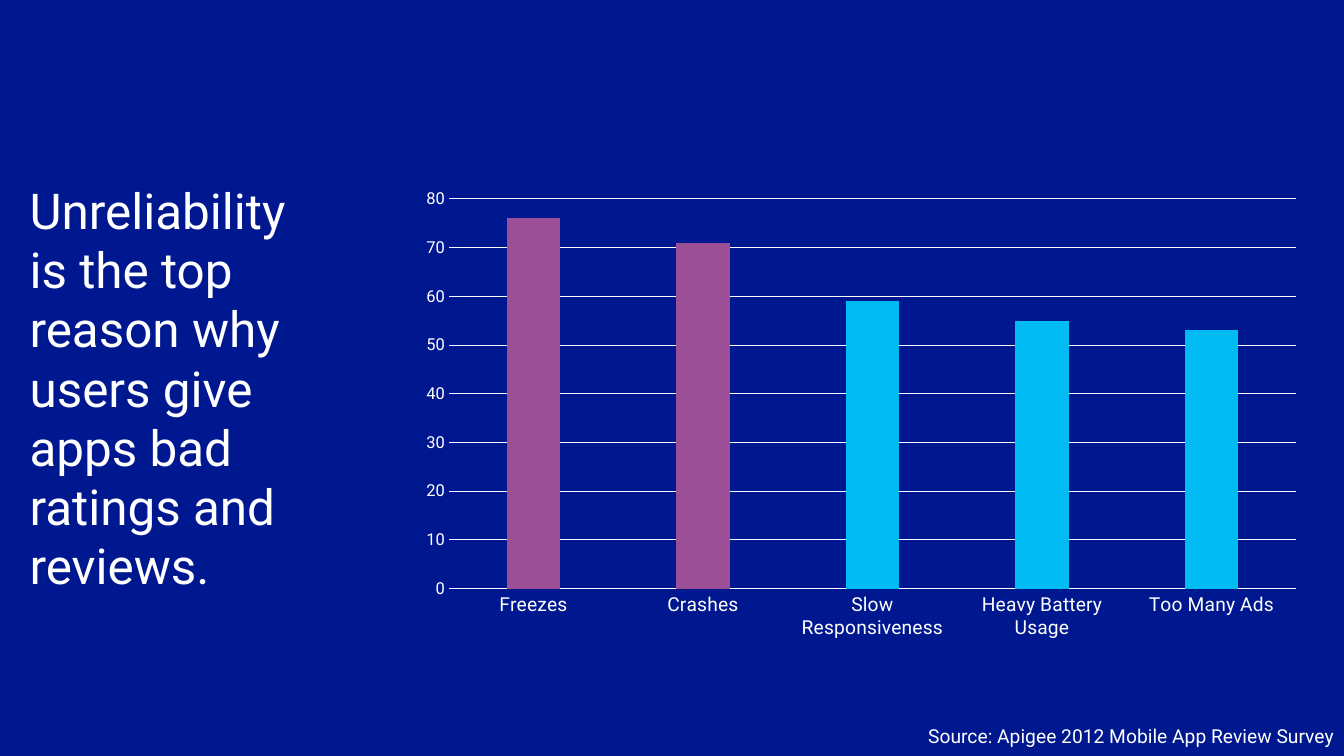
from lxml import etree
from pptx import Presentation
from pptx import util as u
from pptx.chart.data import CategoryChartData
from pptx.dml.color import RGBColor
from pptx.enum import chart as charts, text

WHITE, NAVY, PURPLE, CYAN = "FFFFFF", "00188F", "9B4F96", "00BCF2"


def color(hex_string):
    return RGBColor.from_string(hex_string)


def style(font, size):
    font.name = "Roboto"
    font.size = u.Pt(size)
    font.color.rgb = color(WHITE)


prs = Presentation()
prs.slide_width, prs.slide_height = u.Cm(34.54), u.Cm(19.43)
slide = prs.slides.add_slide(prs.slide_layouts[6])
slide.background.fill.solid()
slide.background.fill.fore_color.rgb = color(NAVY)

# Message on the left
message = slide.shapes.add_textbox(u.Cm(0.76), u.Cm(4.62), u.Cm(7.62), u.Cm(13.97)).text_frame
message.word_wrap = True
message.margin_left = message.margin_right = message.margin_top = message.margin_bottom = 0
message.text = "Unreliability is the top reason why users give apps bad ratings and reviews."
style(message.paragraphs[0].font, 36)

# Complaints chart
complaints = CategoryChartData()
complaints.categories = ["Freezes", "Crashes", "Slow Responsiveness", "Heavy Battery Usage", "Too Many Ads"]
complaints.add_series("Series 1", [76, 71, 59, 55, 53])
chart = slide.shapes.add_chart(
    charts.XL_CHART_TYPE.COLUMN_CLUSTERED,
    u.Cm(10.49), u.Cm(4.62), u.Cm(23.29), u.Cm(12.07), complaints,
).chart
chart.has_legend = False
chart.has_title = False
style(chart.font, 10)

# Columns, with the reliability complaints in purple
plot = chart.plots[0]
plot.gap_width, plot.overlap = 219, -27
plot.vary_by_categories = False
columns = plot.series[0]
columns.format.fill.solid()
columns.format.fill.fore_color.rgb = color(CYAN)
for unreliable in range(2):
    fill = columns.points[unreliable].format.fill
    fill.solid()
    fill.fore_color.rgb = color(PURPLE)

# Axes and gridlines
reasons, share = chart.category_axis, chart.value_axis
for axis, size in ((reasons, 14), (share, 12)):
    axis.major_tick_mark = axis.minor_tick_mark = charts.XL_TICK_MARK.NONE
    style(axis.tick_labels.font, size)
share.minimum_scale, share.maximum_scale, share.major_unit = 0, 80, 10
share.has_major_gridlines = True
share.format.line.fill.background()
for line in (reasons.format.line, share.major_gridlines.format.line):
    line.color.rgb = color(WHITE)
    line.width = u.Pt(0.75)

# Source line
source = slide.shapes.add_textbox(u.Cm(23.52), u.Cm(18.49), u.Cm(11.02), u.Cm(0.86)).text_frame
source.word_wrap = False
source.auto_size = text.MSO_AUTO_SIZE.SHAPE_TO_FIT_TEXT
source.text = "Source: Apigee 2012 Mobile App Review Survey"
source.paragraphs[0].alignment = text.PP_ALIGN.RIGHT
style(source.paragraphs[0].font, 14)

prs.save("out.pptx")
